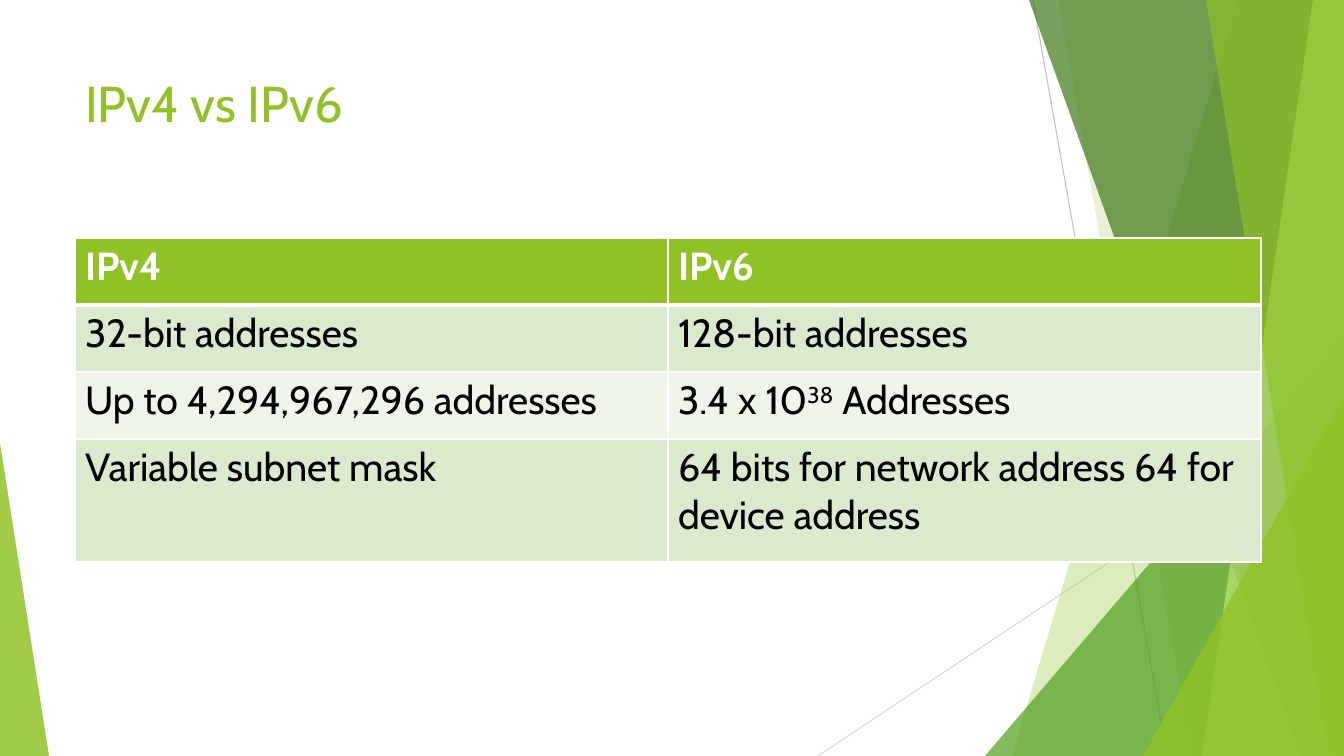
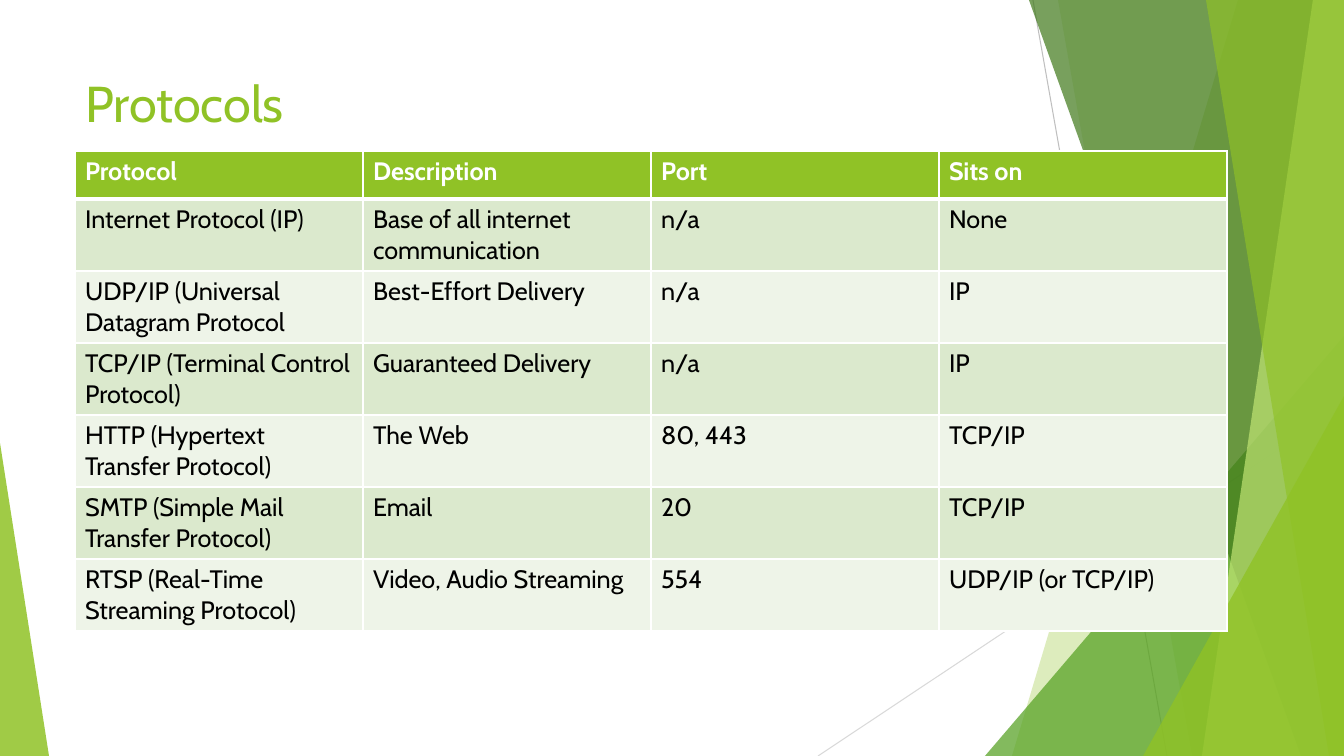
from lxml import etree
from pptx import Presentation
from pptx.dml.color import RGBColor
from pptx.enum.shapes import MSO_CONNECTOR, MSO_SHAPE
from pptx.enum.text import MSO_ANCHOR, MSO_AUTO_SIZE, PP_ALIGN
from pptx.oxml.ns import qn
from pptx.util import Pt

STRAIGHT = MSO_CONNECTOR.STRAIGHT
TRIANGLE = MSO_SHAPE.ISOSCELES_TRIANGLE
TOP = MSO_ANCHOR.TOP
LEFT = PP_ALIGN.LEFT
NO_AUTOFIT = MSO_AUTO_SIZE.NONE

SLIDE_W, SLIDE_H = 1344, 756
EMU_PER_PX = 914400 / 100.8
TITLE_ONLY = 5
FONT = "Cabin"
COLORS = {
    "lime": "90C226",
    "leaf": "54A021",
    "forest": "3F7819",
    "pale_lime": "C0E474",
    "dark_row": "DBE9CD",
    "light_row": "EEF4E8",
    "gray": "BFBFBF",
    "light_gray": "D9D9D9",
    "white": "FFFFFF",
    "black": "000000",
}

# color, x1, y1, x2, y2
RAYS = [
    ("gray", 1033, 0, 1167, SLIDE_H),
    ("light_gray", SLIDE_W, 406, 818, SLIDE_H),
]
# Wedges fill from a slanted edge to the right side of the slide:
# color, opacity in percent, x at the top, x at the bottom
BACK_WEDGES = [("lime", 30, 1238, 1012), ("lime", 20, 1058, 1192)]
FRONT_WEDGES = [
    ("forest", 70, 1029, 1301),
    ("pale_lime", 70, 1313, 1202),
    ("lime", 65, 1206, 1329),
]

ADDRESSING = [
    ["IPv4", "IPv6"],
    ["32-bit addresses", "128-bit addresses"],
    ["Up to 4,294,967,296 addresses", ("3.4 x 10", "38", " Addresses")],
    ["Variable subnet mask", "64 bits for network address 64 for device address"],
]
PROTOCOLS = [
    ["Protocol", "Description", "Port", "Sits on"],
    ["Internet Protocol (IP)", "Base of all internet communication", "n/a", "None"],
    ["UDP/IP (Universal Datagram Protocol", "Best-Effort Delivery", "n/a", "IP"],
    ["TCP/IP (Terminal Control Protocol)", "Guaranteed Delivery", "n/a", "IP"],
    ["HTTP (Hypertext Transfer Protocol)", "The Web", "80, 443", "TCP/IP"],
    ["SMTP (Simple Mail Transfer Protocol)", "Email", "20", "TCP/IP"],
    ["RTSP (Real-Time Streaming Protocol)", "Video, Audio Streaming", "554",
     "UDP/IP (or TCP/IP)"],
]


def px(length):
    return round(length * EMU_PER_PX)


def rgb(name):
    return RGBColor.from_string(COLORS[name])


def paint(shape, color, opacity):
    shape.shadow.inherit = False
    shape.line.fill.background()
    shape.fill.solid()
    shape.fill.fore_color.rgb = rgb(color)
    srgb = shape.fill._xPr.find(".//" + qn("a:srgbClr"))
    etree.SubElement(srgb, qn("a:alpha"), val=str(opacity * 1000))


def add_ray(slide, color, x1, y1, x2, y2):
    ray = slide.shapes.add_connector(STRAIGHT, px(x1), px(y1), px(x2), px(y2))
    ray.line.color.rgb = rgb(color)
    ray.line.width = Pt(0.75)
    etree.SubElement(ray._element.spPr, qn("a:effectLst"))


def add_wedge(slide, color, opacity, top_x, bottom_x):
    outline = slide.shapes.build_freeform(top_x, 0, scale=EMU_PER_PX)
    outline.add_line_segments(
        [(SLIDE_W, 0), (SLIDE_W, SLIDE_H), (bottom_x, SLIDE_H)], close=True)
    paint(outline.convert_to_shape(), color, opacity)


def add_corner(slide, color, opacity, left, top, width, apex):
    """Right triangle standing on the slide's bottom edge; apex 0 left, 1 right."""
    corner = slide.shapes.add_shape(
        TRIANGLE, px(left), px(top), px(width), px(SLIDE_H - top))
    corner.adjustments[0] = apex
    paint(corner, color, opacity)


def add_facets(slide):
    """Green facets on the right and the sliver at lower left."""
    for ray in RAYS:
        add_ray(slide, *ray)
    for wedge in BACK_WEDGES:
        add_wedge(slide, *wedge)
    add_corner(slide, "leaf", 72, 985, 336, 359, 1)
    for wedge in FRONT_WEDGES:
        add_wedge(slide, *wedge)
    add_corner(slide, "lime", 80, 1143, 396, 201, 1)
    add_corner(slide, "lime", 85, 0, 443, 49, 0)


def set_title(slide, text, left, top, width, height):
    title = slide.shapes.title
    title.left, title.top = px(left), px(top)
    title.width, title.height = px(width), px(height)
    frame = title.text_frame
    frame.text = text
    frame.auto_size = NO_AUTOFIT
    frame.vertical_anchor = TOP
    heading = frame.paragraphs[0]
    heading.alignment = LEFT
    heading.font.name = FONT
    heading.font.size = Pt(36)
    heading.font.color.rgb = rgb("lime")


def set_borders(cell, row):
    """White grid, with a thick rule under the header row."""
    properties = cell._tc.get_or_add_tcPr()
    widths = {"L": 1, "R": 1, "T": 3 if row == 1 else 1, "B": 3 if row == 0 else 1}
    for side, width in widths.items():
        border = etree.SubElement(properties, qn("a:ln" + side), w=str(Pt(width)))
        fill = etree.SubElement(border, qn("a:solidFill"))
        etree.SubElement(fill, qn("a:srgbClr"), val=COLORS["white"])


def fill_cell(cell, content, row, font_size):
    """Content is a string, or a (base, superscript, rest) tuple."""
    set_borders(cell, row)
    header = row == 0
    cell.fill.solid()
    cell.fill.fore_color.rgb = rgb(
        "lime" if header else "dark_row" if row % 2 else "light_row")
    paragraph = cell.text_frame.paragraphs[0]
    paragraph.font.name = FONT
    paragraph.font.size = Pt(font_size)
    paragraph.font.bold = header
    paragraph.font.color.rgb = rgb("white" if header else "black")
    parts = (content,) if isinstance(content, str) else content
    for position, part in enumerate(parts):
        run = paragraph.add_run()
        run.text = part
        if position == 1:
            run._r.get_or_add_rPr().set("baseline", "30000")


def add_grid(slide, rows, left, top, column_width, row_heights, font_size):
    columns = len(rows[0])
    table = slide.shapes.add_table(
        len(rows), columns, px(left), px(top),
        px(column_width * columns), px(sum(row_heights))).table
    for column in table.columns:
        column.width = px(column_width)
    for row, (contents, height) in enumerate(zip(rows, row_heights)):
        table.rows[row].height = px(height)
        for column, content in enumerate(contents):
            fill_cell(table.cell(row, column), content, row, font_size)


def add_table_slide(deck, title, title_height, rows, top, column_width,
                    row_heights, font_size):
    slide = deck.slides.add_slide(deck.slide_layouts[TITLE_ONLY])
    add_facets(slide)
    set_title(slide, title, 75, 67, 948, title_height)
    add_grid(slide, rows, 75, top, column_width, row_heights, font_size)


def main():
    deck = Presentation()
    deck.slide_width, deck.slide_height = px(SLIDE_W), px(SLIDE_H)
    add_table_slide(deck, "IPv4 vs IPv6", 109, ADDRESSING, 238, 593,
                    [67, 67, 67, 123], 28)
    add_table_slide(deck, "Protocols", 145, PROTOCOLS, 151, 288,
                    [48] + [72] * 6, 18)
    deck.save("out.pptx")


if __name__ == "__main__":
    main()
